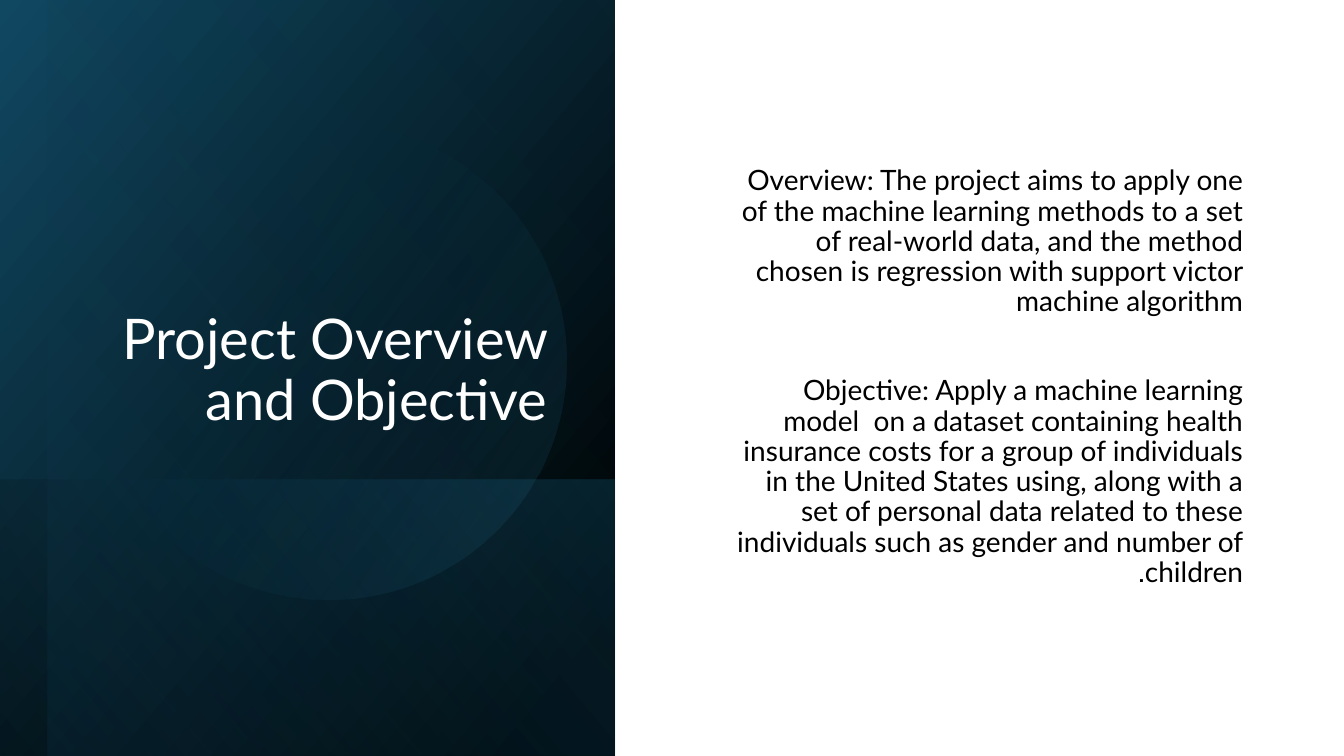
"""Build the project overview and objective slide."""
from dataclasses import dataclass

from lxml import etree
from pptx import Presentation
from pptx import util as u
from pptx.dml.color import RGBColor
from pptx.enum import shapes, text
from pptx.oxml import ns
from pptx.shapes.autoshape import Shape
from pptx.slide import Slide

BLACK = RGBColor(0x00, 0x00, 0x00)
WHITE = RGBColor(0xFF, 0xFF, 0xFF)
NAVY = RGBColor(0x10, 0x48, 0x62)
TEAL = RGBColor(0x15, 0x60, 0x82)
SKY = RGBColor(0x46, 0xB1, 0xE1)

RECTANGLE = shapes.MSO_SHAPE.RECTANGLE
OVAL = shapes.MSO_SHAPE.OVAL

TITLE = "Project Overview and Objective"
OVERVIEW = (
    "Overview: The project aims to apply one of the machine learning methods "
    "to a set of real-world data, and the method chosen is regression with "
    "support victor machine algorithm"
)
OBJECTIVE = (
    "Objective: Apply a machine learning model  on a dataset containing health "
    "insurance costs for a group of individuals in the United States using, "
    "along with a set of personal data related to these individuals such as "
    "gender and number of children."
)


@dataclass(frozen=True)
class Stop:
    position: int
    color: RGBColor
    opacity: int = 100


@dataclass(frozen=True)
class Panel:
    kind: shapes.MSO_SHAPE
    box: tuple[float, float, float, float]
    rotation: float
    flipped: bool
    angle: int
    stops: tuple[Stop, Stop]


@dataclass(frozen=True)
class TextBlock:
    box: tuple[float, float, float, float]
    anchor: text.MSO_ANCHOR
    size: int
    color: RGBColor
    paragraphs: tuple[str, ...]
    gap: int = 0


PANELS = (
    Panel(RECTANGLE, (-0.7, 0.7, 7.5, 6.1), 90, True, 50,
          (Stop(8, BLACK), Stop(100, NAVY))),
    Panel(RECTANGLE, (1.67, 3.08, 2.74, 6.1), 90, True, 130,
          (Stop(2, TEAL, 29), Stop(100, BLACK, 30))),
    Panel(RECTANGLE, (-0.46, 0.93, 7.5, 5.63), 90, True, 130,
          (Stop(0, BLACK, 0), Stop(99, TEAL, 11))),
    Panel(OVAL, (0.9, 1.23, 4.72, 4.72), 101.6, False, 290,
          (Stop(39, TEAL, 0), Stop(100, SKY, 15))),
)
HEADING = TextBlock((0.9, 0.64, 4.63, 3.7), text.MSO_ANCHOR.BOTTOM, 40, WHITE, (TITLE,))
BODY = TextBlock((7.11, 0.71, 5.32, 6.07), text.MSO_ANCHOR.MIDDLE, 20, BLACK,
                 (OVERVIEW, OBJECTIVE), gap=42)


def apply_gradient(shape: Shape, panel: Panel) -> None:
    """Fill a shape with the panel's linear gradient."""
    gradient = etree.Element(ns.qn("a:gradFill"), rotWithShape="1")
    stop_list = etree.SubElement(gradient, ns.qn("a:gsLst"))
    for stop in panel.stops:
        entry = etree.SubElement(stop_list, ns.qn("a:gs"), pos=str(stop.position * 1000))
        color = etree.SubElement(entry, ns.qn("a:srgbClr"), val=str(stop.color))
        etree.SubElement(color, ns.qn("a:alpha"), val=str(stop.opacity * 1000))
    etree.SubElement(gradient, ns.qn("a:lin"), ang=str(panel.angle * 60000), scaled="0")
    shape.element.spPr.find(ns.qn("a:prstGeom")).addnext(gradient)


def draw_panel(slide: Slide, panel: Panel) -> None:
    """Draw one gradient panel without outline or shadow."""
    shape = slide.shapes.add_shape(panel.kind, *map(u.Inches, panel.box))
    shape.rotation = panel.rotation
    if panel.flipped:
        shape.element.spPr.get_or_add_xfrm().set("flipH", "1")
    shape.shadow.inherit = False
    shape.line.fill.background()
    apply_gradient(shape, panel)


def fill_placeholder(shape: Shape, block: TextBlock) -> None:
    """Place a placeholder in front and write right-to-left paragraphs."""
    shape.element.getparent().append(shape.element)
    for name, length in zip(("left", "top", "width", "height"), block.box):
        setattr(shape, name, u.Inches(length))
    frame = shape.text_frame
    frame.text = "\n".join(block.paragraphs)
    frame_format = {"word_wrap": True, "auto_size": text.MSO_AUTO_SIZE.NONE,
                    "vertical_anchor": block.anchor}
    for name, value in frame_format.items():
        setattr(frame, name, value)
    for index, paragraph in enumerate(frame.paragraphs):
        paragraph_format = {"alignment": text.PP_ALIGN.RIGHT, "line_spacing": 0.9,
                            "space_before": u.Pt(block.gap if index else 0)}
        for name, value in paragraph_format.items():
            setattr(paragraph, name, value)
        properties = paragraph._p.get_or_add_pPr()
        for name, value in {"marL": "0", "indent": "0", "rtl": "1"}.items():
            properties.set(name, value)
        etree.SubElement(properties, ns.qn("a:buNone"))
        for run in paragraph.runs:
            for name, value in {"name": "Lato", "size": u.Pt(block.size)}.items():
                setattr(run.font, name, value)
            run.font.color.rgb = block.color


def main() -> None:
    """Assemble and save the presentation."""
    presentation = Presentation()
    presentation.slide_width = u.Inches(13.33)
    presentation.slide_height = u.Inches(7.5)
    slide = presentation.slides.add_slide(presentation.slide_layouts[1])
    slide.background.fill.solid()
    slide.background.fill.fore_color.rgb = WHITE
    for panel in PANELS:
        draw_panel(slide, panel)
    fill_placeholder(slide.shapes.title, HEADING)
    fill_placeholder(slide.placeholders[1], BODY)
    presentation.save("out.pptx")


if __name__ == "__main__":
    main()
